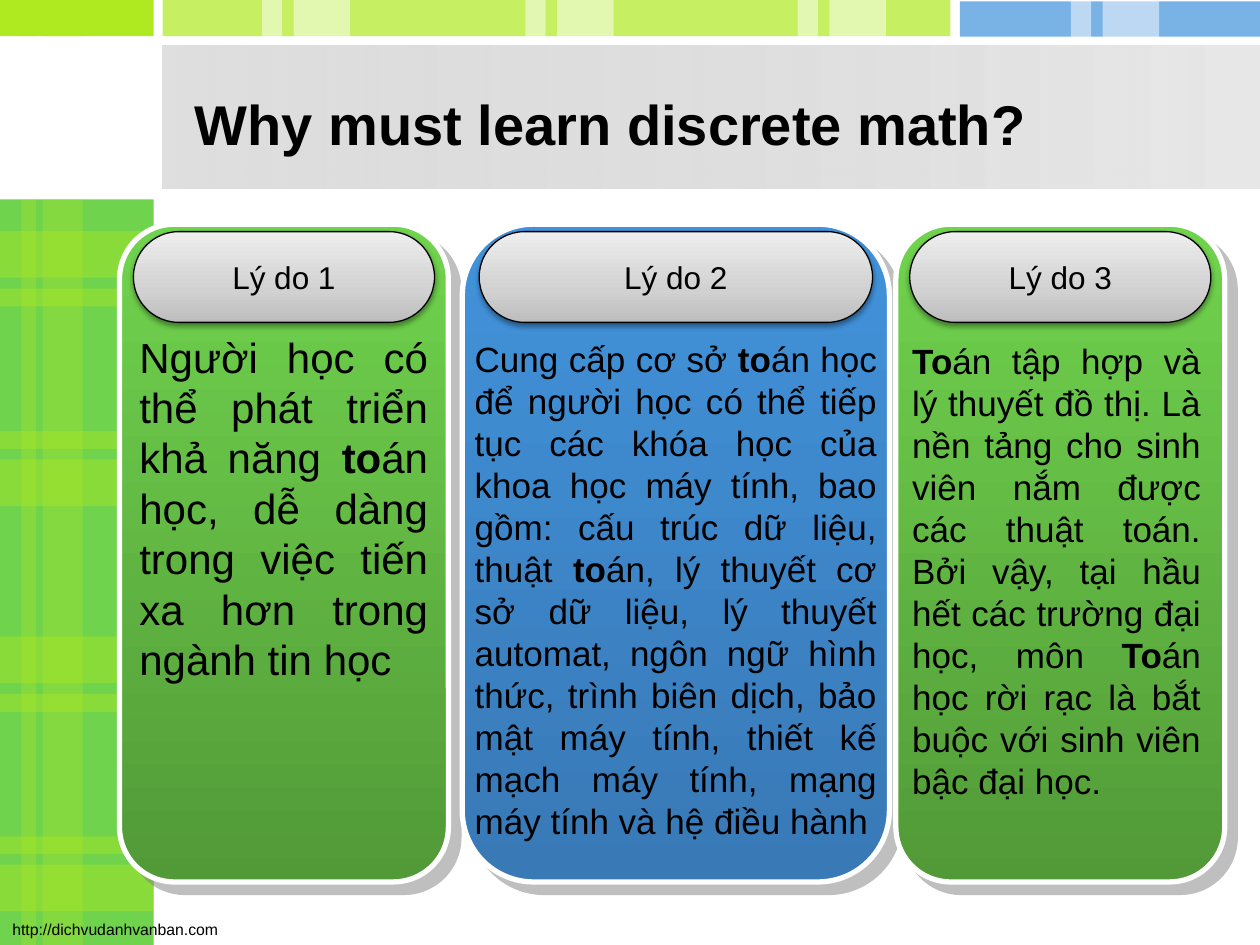
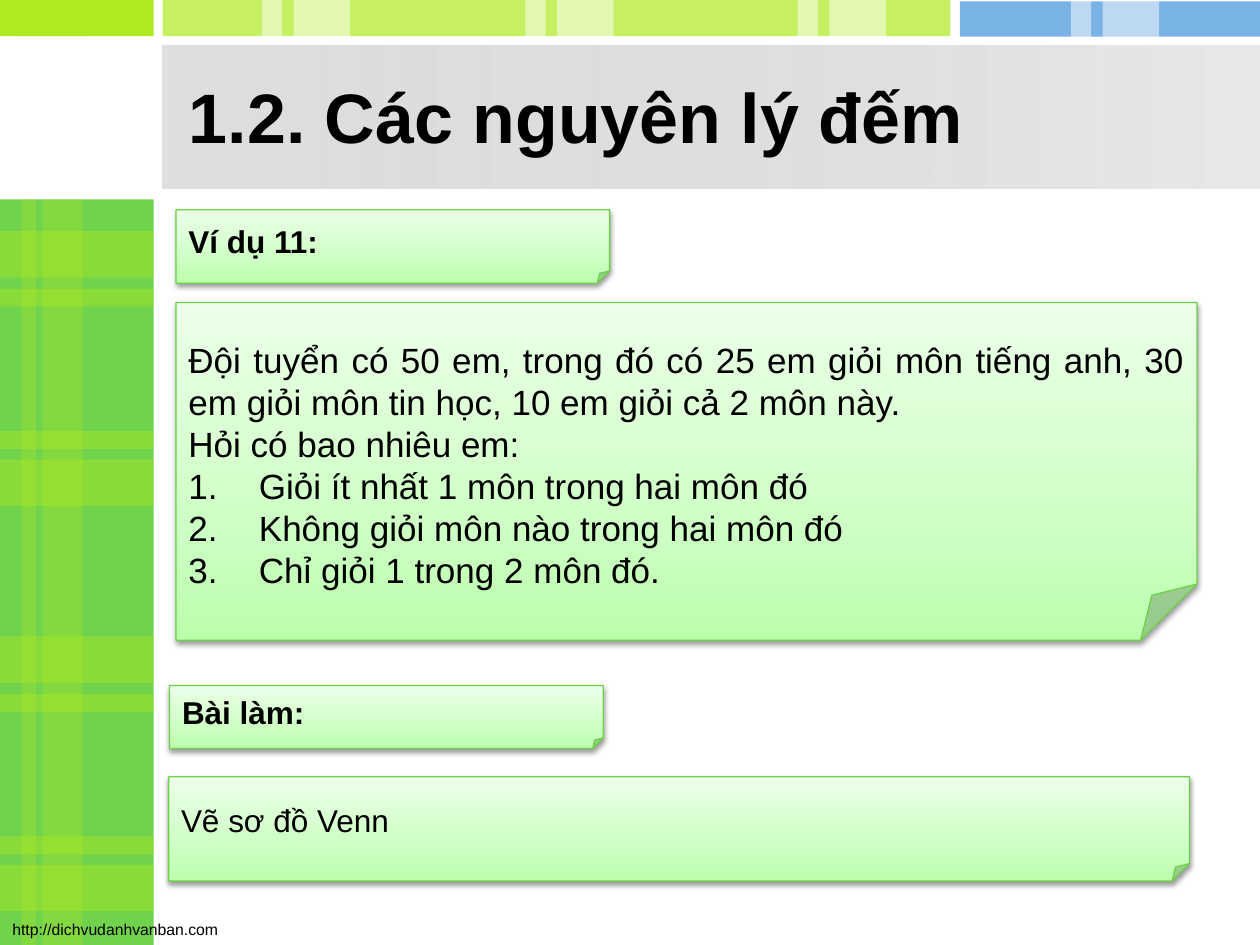
from lxml import etree
from pptx import Presentation
from pptx.dml.color import RGBColor
from pptx.enum.shapes import MSO_SHAPE
from pptx.enum.text import MSO_ANCHOR, PP_ALIGN
from pptx.oxml.ns import qn
from pptx.util import Cm, Pt

RECTANGLE = MSO_SHAPE.RECTANGLE
ROUNDED = MSO_SHAPE.ROUNDED_RECTANGLE
FOLDED = MSO_SHAPE.FOLDED_CORNER
MIDDLE, TOP = MSO_ANCHOR.MIDDLE, MSO_ANCHOR.TOP
LEFT, CENTER, JUSTIFY = PP_ALIGN.LEFT, PP_ALIGN.CENTER, PP_ALIGN.JUSTIFY

FONT = "Arial"
BLACK, WHITE = "000000", "FFFFFF"
GREEN, LIME, BLUE = "70D34D", "AFE91F", "4192DB"
NOTE_LINE = "6CD248"

# Gradients: stops (position, colour, opacity) and clockwise angle
TITLE_BAND = ([(0, "C0C0C0", 50), (100, "E8E8E8", 100)], 0)
GREEN_PANEL = ([(0, GREEN, 100), (100, "529A38", 100)], 90)
BLUE_PANEL = ([(0, BLUE, 100), (100, "3979B6", 100)], 90)
GREY_PILL = ([(0, "BDBDBD", 100), (35, "D1D1D1", 100), (100, "EEEEEE", 100)], 270)
NOTE = ([(0, "BBFFAD", 100), (35, "CEFFC5", 100), (100, "ECFFE9", 100)], 270)

# Shadows: colour, opacity, blur, distance, angle
PANEL_SHADOW = ("808080", 50, 0, 8.5, 45)
SOFT_SHADOW = (BLACK, 38, 3.1, 1.6, 90)


def rgb(color):
    return RGBColor.from_string(color)


def place(box):
    return [Cm(length) for length in box]


def add_color(parent, color, opacity):
    element = etree.SubElement(parent, qn("a:srgbClr"), val=color)
    if opacity < 100:
        etree.SubElement(element, qn("a:alpha"), val=str(opacity * 1000))


def fill_solid(shape, color, opacity=100):
    shape.fill.solid()
    shape.fill.fore_color.rgb = rgb(color)
    if opacity < 100:
        element = next(shape._element.spPr.iter(qn("a:srgbClr")))
        etree.SubElement(element, qn("a:alpha"), val=str(opacity * 1000))


def fill_gradient(shape, stops, angle):
    shape.fill.gradient()
    shape.fill.gradient_angle = -angle % 360
    stop_list = next(shape._element.spPr.iter(qn("a:gsLst")))
    for old_stop in list(stop_list):
        stop_list.remove(old_stop)
    for position, color, opacity in stops:
        stop = etree.SubElement(stop_list, qn("a:gs"), pos=str(position * 1000))
        add_color(stop, color, opacity)


def add_shadow(shape, color, opacity, blur, distance, angle):
    effects = shape._element.spPr.find(qn("a:effectLst"))
    shadow = etree.SubElement(
        effects, qn("a:outerShdw"), blurRad=str(Pt(blur)), dist=str(Pt(distance)),
        dir=str(angle * 60000), algn="ctr", rotWithShape="0")
    add_color(shadow, color, opacity)


def add_plain(slide, kind, box):
    shape = slide.shapes.add_shape(kind, *place(box))
    shape.shadow.inherit = False
    shape.line.fill.background()
    return shape


def add_bar(slide, box, color, opacity=100):
    fill_solid(add_plain(slide, RECTANGLE, box), color, opacity)


def add_raised(slide, kind, box, gradient, line, width, shadow):
    shape = add_plain(slide, kind, box)
    fill_gradient(shape, *gradient)
    shape.line.color.rgb = rgb(line)
    shape.line.width = Pt(width)
    add_shadow(shape, *shadow)
    return shape


def add_number(paragraph):
    properties = paragraph._p.get_or_add_pPr()
    properties.set("marL", str(Cm(1.42)))
    properties.set("indent", str(-Cm(1.42)))
    etree.SubElement(properties, qn("a:buFont"), typeface="+mj-lt")
    etree.SubElement(properties, qn("a:buAutoNum"), type="arabicPeriod")


def write(shape, lines, size, align=LEFT, anchor=MIDDLE, wrap=True):
    """Write lines; parts between asterisks are bold, a leading # numbers a line."""
    frame = shape.text_frame
    frame.word_wrap = wrap
    frame.vertical_anchor = anchor
    for index, line in enumerate(lines):
        paragraph = frame.paragraphs[0] if index == 0 else frame.add_paragraph()
        paragraph.alignment = align
        if line.startswith("#"):
            add_number(paragraph)
        for part, text in enumerate(line.lstrip("#").split("*")):
            if text:
                run = paragraph.add_run()
                run.text = text
                run.font.name = FONT
                run.font.size = Pt(size)
                run.font.bold = part % 2 == 1
                run.font.color.rgb = rgb(BLACK)


def add_text(slide, box, lines, size, **layout):
    write(slide.shapes.add_textbox(*place(box)), lines, size, **layout)


def draw_sidebar(slide, left, top, width, height):
    add_bar(slide, (left, top, width, height), GREEN)
    for stripe_left, stripe_width in ((0.43, 0.3), (0.86, 0.81)):
        add_bar(slide, (left + stripe_left, top, stripe_width, height), LIME, 30)
    # Crossing bands, the same set twice
    for repeat in range(2):
        for offset, thickness in ((0.64, 0.94), (1.8, 0.36), (4.67, 0.36), (5.24, 0.94)):
            band_top = top + offset + repeat * 8.17
            add_bar(slide, (left, band_top, width, thickness), LIME, 40)


def draw_top_strip(slide, left, top, height):
    add_bar(slide, (left, top, 3.1, height), LIME)
    for stripe_left, stripe_width in ((0.43, 0.3), (0.86, 0.81)):
        add_bar(slide, (left + stripe_left, top, stripe_width, height), LIME, 50)
    add_bar(slide, (left + 3.28, top, 15.88, height), LIME, 70)
    add_bar(slide, (left + 19.35, top + 0.03, 6.05, height - 0.02), BLUE, 70)
    # Pale pairs: a thin stripe and a wide one
    for pair_left in (5.28, 10.59, 16.08, 21.59):
        for offset, stripe_width in ((0, 0.41), (0.64, 1.14)):
            add_bar(slide, (left + pair_left + offset, top, stripe_width, height + 0.07),
                    WHITE, 50)


def add_base_slide(presentation, title, size, title_left, title_top):
    slide = presentation.slides.add_slide(presentation.slide_layouts[6])
    draw_sidebar(slide, 0, 4.02, 3.1, 15.03)
    draw_top_strip(slide, 0, 0, 0.73)
    band = add_plain(slide, RECTANGLE, (3.27, 0.91, 22.13, 2.9))
    fill_gradient(band, *TITLE_BAND)
    add_text(slide, (0, 18.42, 4.7, 0.63), ["http://dichvudanhvanban.com"], 9,
             anchor=TOP, wrap=False)
    add_text(slide, (title_left, title_top, 18.03, 2.11), [f"*{title}*"], size)
    return slide


def draw_reason(slide, box, gradient, label, inset, text_box, text, size):
    """Draw one column; text_box is left, top and width within the column."""
    left, top, width, height = box
    panel = add_raised(slide, ROUNDED, box, gradient, WHITE, 3, PANEL_SHADOW)
    panel.adjustments[0] = 0.167
    pill = add_raised(slide, ROUNDED, (left + inset, top + 0.15, width - 2 * inset, 1.83),
                      GREY_PILL, BLACK, 0.75, SOFT_SHADOW)
    pill.adjustments[0] = 0.5
    write(pill, [label], 18, align=CENTER, wrap=False)
    text_left, text_top, text_width = text_box
    add_text(slide, (left + text_left, top + text_top, text_width, height - text_top - 0.6),
             [text], size, align=JUSTIFY, anchor=TOP)


def draw_note(slide, box, lines, size, align=LEFT, top_margin=0.13):
    note = add_raised(slide, FOLDED, box, NOTE, NOTE_LINE, 0.75, SOFT_SHADOW)
    note.text_frame.margin_top = Cm(top_margin)
    write(note, lines, size, align=align)


def build_reasons(presentation):
    slide = add_base_slide(presentation, "Why must learn discrete math?", 32, 3.68, 1.42)
    top, height = 4.52, 13.26
    draw_reason(
        slide, (2.41, top, 6.63, height), GREEN_PANEL, "Lý do 1", 0.28, (0.15, 2.03, 6.32),
        "Người học có thể phát triển khả năng *to*án học, dễ dàng trong việc tiến xa "
        "hơn trong ngành tin học", 24)
    draw_reason(
        slide, (9.32, top, 8.61, height), BLUE_PANEL, "Lý do 2", 0.34, (0, 2.16, 8.61),
        "Cung cấp cơ sở *to*án học để người học có thể tiếp tục các khóa học của khoa "
        "học máy tính, bao gồm: cấu trúc dữ liệu, thuật *to*án, lý thuyết cơ sở dữ liệu, "
        "lý thuyết automat, ngôn ngữ hình thức, trình biên dịch, bảo mật máy tính, "
        "thiết kế mạch máy tính, mạng máy tính và hệ điều hành", 20)
    draw_reason(
        slide, (18.06, top, 6.63, height), GREEN_PANEL, "Lý do 3", 0.28, (0.08, 2.19, 6.32),
        "*To*án tập hợp và lý thuyết đồ thị. Là nền tảng cho sinh viên nắm được các "
        "thuật toán. Bởi vậy, tại hầu hết các trường đại học, môn *To*án học rời rạc "
        "là bắt buộc với sinh viên bậc đại học.", 20)


def build_example(presentation):
    slide = add_base_slide(presentation, "1.2. Các nguyên lý đếm", 40, 3.56, 1.27)
    # Problem
    draw_note(slide, (3.55, 4.23, 8.74, 1.48), ["*Ví dụ 11:*"], 18)
    draw_note(slide, (3.55, 6.1, 20.58, 6.81), [
        "Đội tuyển có 50 em, trong đó có 25 em giỏi môn tiếng anh, 30 em giỏi môn "
        "tin học, 10 em giỏi cả 2 môn này.",
        "Hỏi có bao nhiêu em:",
        "#Giỏi ít nhất 1 môn trong hai môn đó",
        "#Không giỏi môn nào trong hai môn đó",
        "#Chỉ giỏi 1 trong 2 môn đó.",
    ], 20, align=JUSTIFY, top_margin=0.97)
    # Solution
    draw_note(slide, (3.42, 13.82, 8.74, 1.27), ["*Bài làm:*"], 18)
    draw_note(slide, (3.4, 15.66, 20.58, 2.1), ["Vẽ sơ đồ Venn"], 18)


def main():
    presentation = Presentation()
    presentation.slide_width = Cm(25.4)
    presentation.slide_height = Cm(19.05)
    build_reasons(presentation)
    build_example(presentation)
    presentation.save("out.pptx")


if __name__ == "__main__":
    main()
